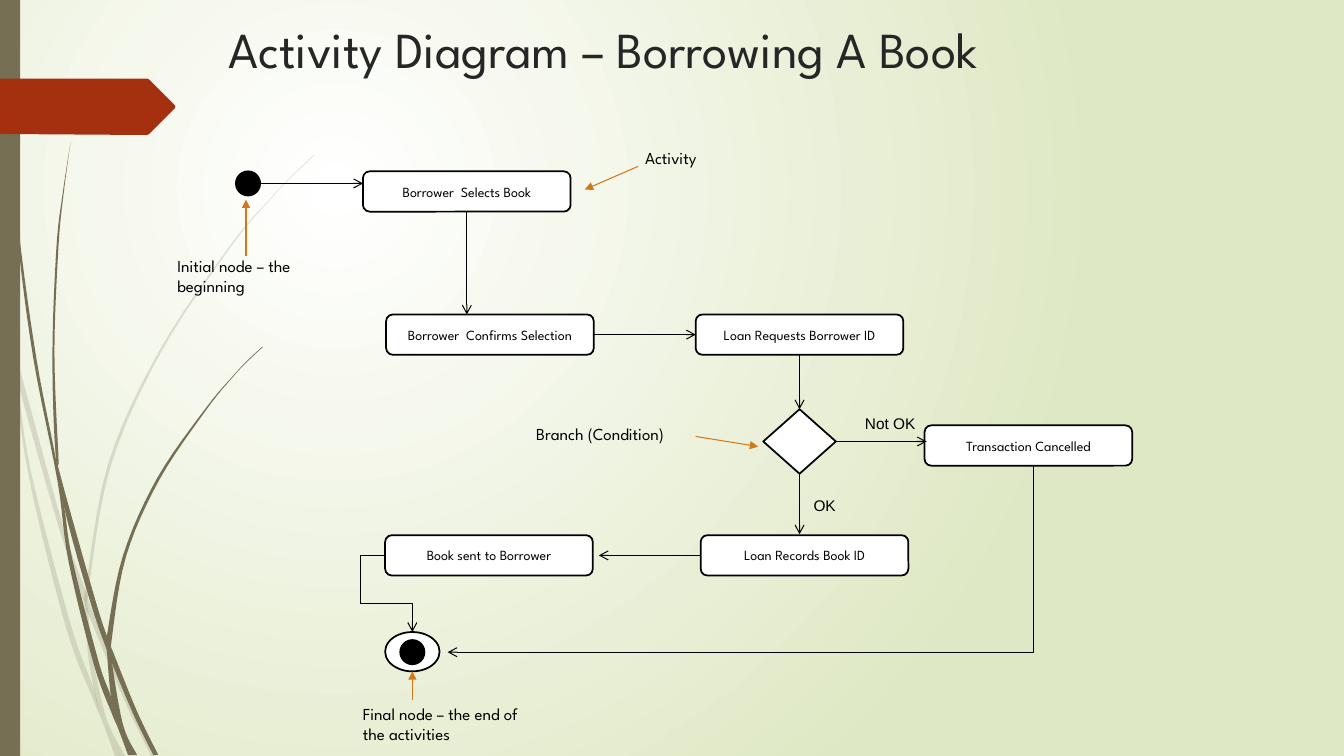
"""Build a slide with an activity diagram for borrowing a book."""
from lxml.etree import SubElement
from pptx import Presentation
from pptx.dml.color import RGBColor
from pptx.enum.shapes import MSO_CONNECTOR as LINK, MSO_SHAPE as SHAPE
from pptx.enum.text import MSO_ANCHOR as ANCHOR, PP_ALIGN as ALIGN
from pptx.oxml.ns import qn
from pptx.util import Inches, Pt

BLACK, WHITE, OLIVE, RUST, ORANGE = "000000", "FFFFFF", "766F54", "A53010", "D47817"
SPARTAN = "League Spartan"


def paint(shape, fill, line=None):
    shape.shadow.inherit = False
    shape.fill.solid()
    shape.fill.fore_color.rgb = RGBColor.from_string(fill)
    if line:
        shape.line.color.rgb = RGBColor.from_string(line)
        shape.line.width = Pt(1.25)
    else:
        shape.line.fill.background()


def write(shape, text, size, name=SPARTAN, color=BLACK, align=ALIGN.LEFT,
          anchor=ANCHOR.TOP, wrap=True):
    frame = shape.text_frame
    for key, value in {"word_wrap": wrap, "vertical_anchor": anchor}.items():
        setattr(frame, key, value)
    para = frame.paragraphs[0]
    para.alignment = align
    span = para.add_run()
    span.text = text
    for key, value in {"size": Pt(size), "name": name, "bold": False}.items():
        setattr(span.font, key, value)
    span.font.color.rgb = RGBColor.from_string(color)


deck = Presentation()
deck.slide_width, deck.slide_height = Inches(13.33), Inches(7.5)
page = deck.slides.add_slide(deck.slide_layouts[5])
shapes = page.shapes

backdrop = page.background.fill
backdrop.gradient()
for stop, position, color in zip(backdrop.gradient_stops, (0, 1), (WHITE, "DFE8C4")):
    stop.position = position
    stop.color.rgb = RGBColor.from_string(color)
gradient = page.element.xpath("//p:bgPr/a:gradFill")[0]
for linear in gradient.findall(qn("a:lin")):
    gradient.remove(linear)
circle = SubElement(gradient, qn("a:path"), path="circle")
SubElement(circle, qn("a:fillToRect"), l="50000", t="50000", r="100000", b="100000")

# Each grass blade has a left edge running down and a right edge running up.
blades = [
    (20, [(0, 2.82), (0, 2.99), (0.1, 3.44), (0.28, 4.7), (0.65, 6.21), (0.92, 6.93),
          (1.01, 7.14), (1.14, 7.5)],
     [(1.19, 7.5), (1.01, 7.14), (0.93, 6.83), (0.7, 6.19), (0.31, 4.69), (0.17, 3.76),
      (0.09, 3.22), (0, 2.82)]),
    (20, [(0.14, 3.45), (0.17, 3.76), (0.58, 5.22), (0.84, 5.99), (0.88, 6.1),
          (1.23, 6.94), (1.5, 7.5)],
     [(1.55, 7.5), (1.27, 6.92), (0.92, 6.07), (0.85, 5.86), (0.62, 5.2), (0.14, 3.45)]),
    (20, [(3.12, 1.53), (2.89, 1.75), (2.68, 1.97), (2.28, 2.44), (1.58, 3.48),
          (1.07, 4.61), (0.85, 5.84), (0.84, 5.99), (0.87, 6.46), (0.93, 6.83),
          (1.01, 7.14), (1.19, 7.5)],
     [(1.24, 7.5), (1.05, 7.11), (0.91, 6.46), (0.88, 6.1), (0.88, 5.84), (1.1, 4.62),
      (1.6, 3.49), (2.29, 2.45), (2.68, 1.98), (2.9, 1.75), (3.12, 1.54)]),
    (100, [(0.03, 0), (0.04, 0.48), (0.07, 1.1), (0.17, 2.33), (0.33, 3.55), (0.57, 4.77),
           (0.68, 5.57), (0.93, 6.59), (1.11, 7.08), (1.17, 7.22), (1.27, 7.49)],
     [(1.31, 7.49), (1.17, 7.22), (1.1, 6.91), (0.98, 6.57), (0.72, 5.56), (0.64, 5.05),
      (0.55, 4.53), (0.36, 3.55), (0.19, 2.32), (0.08, 1.09), (0.05, 0.48), (0.04, 0)]),
    (100, [(0.7, 1.41), (0.62, 1.93), (0.56, 2.45), (0.52, 3.49), (0.55, 4.49),
           (0.64, 5.05), (0.88, 5.92), (1.06, 6.45), (1.32, 7.08), (1.52, 7.49)],
     [(1.57, 7.49), (1.36, 7.06), (1.13, 6.49), (1.06, 6.31), (0.93, 5.9), (0.6, 4.72),
      (0.58, 4.53), (0.54, 3.49), (0.58, 2.45), (0.63, 1.93), (0.7, 1.41)]),
    (100, [(2.6, 3.44), (2.45, 3.58), (2.31, 3.73), (2.04, 4.05), (1.56, 4.74),
           (1.22, 5.51), (1.06, 6.31), (1.06, 6.45), (1.1, 6.91), (1.17, 7.22), (1.3, 7.49)],
     [(1.36, 7.49), (1.22, 7.19), (1.11, 6.56), (1.11, 6.33), (1.25, 5.52), (1.58, 4.76),
      (2.05, 4.06), (2.31, 3.74), (2.45, 3.59), (2.61, 3.44)]),
]
STEPS = 6
for opacity, *edges in blades:
    outline = []
    for edge in edges:
        padded = [edge[0], *edge, edge[-1]]
        for a, b, c, d in zip(padded, padded[1:], padded[2:], padded[3:]):
            for t in (step / STEPS for step in range(STEPS)):
                outline.append([Inches(q + t * (r - p) / 2
                                       + t**2 * (2 * p - 5 * q + 4 * r - s) / 2
                                       + t**3 * (3 * q - p - 3 * r + s) / 2)
                                for p, q, r, s in zip(a, b, c, d)])
        outline.append([Inches(value) for value in edge[-1]])
    builder = shapes.build_freeform(*outline[0])
    builder.add_line_segments(outline[1:])
    blade = builder.convert_to_shape()
    paint(blade, OLIVE)
    if opacity < 100:
        tint = blade.element.spPr.find(qn("a:solidFill"))[0]
        SubElement(tint, qn("a:alpha"), val=str(opacity * 1000))

rail = shapes.add_shape(SHAPE.RECTANGLE, 0, 0, Inches(0.2), Inches(7.5))
paint(rail, OLIVE)
corners = [(0, 0.78), (1.46, 0.78), (1.48, 0.79), (1.73, 1.04), (1.74, 1.06),
           (1.73, 1.08), (1.48, 1.33), (1.46, 1.34), (0, 1.33)]
corners = [(Inches(x), Inches(y)) for x, y in corners]
builder = shapes.build_freeform(*corners[0])
builder.add_line_segments(corners[1:])
paint(builder.convert_to_shape(), RUST)

title = shapes.title
for key, value in {"left": 2.17, "top": 0.13, "width": 9.59, "height": 1.02}.items():
    setattr(title, key, Inches(value))
write(title, "Activity Diagram – Borrowing A Book", 36, color="262626")

activities = {
    "selects": ("Borrower  Selects Book", 3.6, 1.7),
    "confirms": ("Borrower  Confirms Selection", 3.83, 3.12),
    "requests": ("Loan Requests Borrower ID", 6.9, 3.12),
    "cancelled": ("Transaction Cancelled", 9.17, 4.22),
    "sent": ("Book sent to Borrower", 3.82, 5.31),
    "records": ("Loan Records Book ID", 6.95, 5.31),
}
nodes = {}
for key, (text, left, top) in activities.items():
    box = shapes.add_shape(SHAPE.FLOWCHART_ALTERNATE_PROCESS, Inches(left), Inches(top),
                           Inches(2.06), Inches(0.4))
    paint(box, WHITE, BLACK)
    write(box, text, 10, align=ALIGN.CENTER, anchor=ANCHOR.MIDDLE)
    nodes[key] = box

symbols = [
    ("initial", SHAPE.OVAL, WHITE and BLACK, 2.34, 1.7, 0.24, 0.24),
    ("branch", SHAPE.FLOWCHART_DECISION, WHITE, 7.57, 4.06, 0.72, 0.64),
    ("final ring", SHAPE.OVAL, WHITE, 3.82, 6.27, 0.54, 0.39),
    ("final dot", SHAPE.OVAL, BLACK, 3.97, 6.35, 0.24, 0.24),
]
for key, kind, fill, *frame in symbols:
    nodes[key] = shapes.add_shape(kind, *map(Inches, frame))
    paint(nodes[key], fill, BLACK)

labels = [
    ("Not OK", 8.48, 4.06, 0.71, 0.29, 11, "Arial", False),
    ("OK", 7.97, 4.87, 0.42, 0.29, 11, "Arial", False),
    ("Branch (Condition)", 5.22, 4.15, 1.81, 0.3, 12, SPARTAN, True),
    ("Activity", 6.3, 1.42, 1.81, 0.3, 12, SPARTAN, True),
    ("Initial node – the beginning", 1.66, 2.49, 1.81, 0.5, 12, SPARTAN, True),
    ("Final node – the end of the activities", 3.5, 6.93, 1.81, 0.5, 12, SPARTAN, True),
]
for text, left, top, width, height, size, font, wrap in labels:
    label = shapes.add_textbox(*map(Inches, (left, top, width, height)))
    write(label, text, size, font, wrap=wrap)

arrows = [
    ((2.57, 1.82), (3.6, 1.82), None, None, BLACK),
    ((4.63, 2.1), (4.63, 3.12), ("selects", 2), None, BLACK),
    ((5.89, 3.32), (6.9, 3.32), ("confirms", 3), ("requests", 1), BLACK),
    ((7.93, 3.52), (7.93, 4.06), ("requests", 2), ("branch", 0), BLACK),
    ((7.93, 4.7), (7.93, 5.3), ("branch", 2), None, BLACK),
    ((8.29, 4.38), (9.19, 4.38), ("branch", 3), None, BLACK),
    ((6.95, 5.51), (5.94, 5.51), ("records", 1), None, BLACK),
    ((6.9, 4.33), (7.52, 4.43), None, None, ORANGE),
    ((6.33, 1.65), (5.8, 1.88), None, None, ORANGE),
    ((2.44, 2.54), (2.44, 1.98), None, None, ORANGE),
    ((4.09, 6.94), (4.09, 6.66), None, None, ORANGE),
]
links = []
for start, end, source, target, color in arrows:
    link = shapes.add_connector(LINK.STRAIGHT, *map(Inches, start + end))
    if source:
        link.begin_connect(nodes[source[0]], source[1])
    if target:
        link.end_connect(nodes[target[0]], target[1])
    links.append((link, color))

elbows = [
    ("bentConnector4", (3.82, 5.51, 4.09, 6.27), 0, (-92200, 63000)),
    ("bentConnector2", (6.42, 2.64, 8.27, 8.45), 90, ()),
]
for preset, ends, turn, bends in elbows:
    link = shapes.add_connector(LINK.ELBOW, *map(Inches, ends))
    link.element.spPr.find(qn("a:xfrm")).set("rot", str(turn * 60000))
    geometry = link.element.spPr.find(qn("a:prstGeom"))
    geometry.set("prst", preset)
    guides = geometry.find(qn("a:avLst"))
    for number, bend in enumerate(bends, 1):
        SubElement(guides, qn("a:gd"), name=f"adj{number}", fmla=f"val {bend}")
    links.append((link, BLACK))

for link, color in links:
    link.line.color.rgb = RGBColor.from_string(color)
    link.line.width = Pt(0.75)
    properties = link.element.spPr
    head = "arrow" if color == BLACK else "triangle"
    SubElement(properties.find(qn("a:ln")), qn("a:tailEnd"), type=head)
    SubElement(properties, qn("a:effectLst"))

deck.save("out.pptx")
